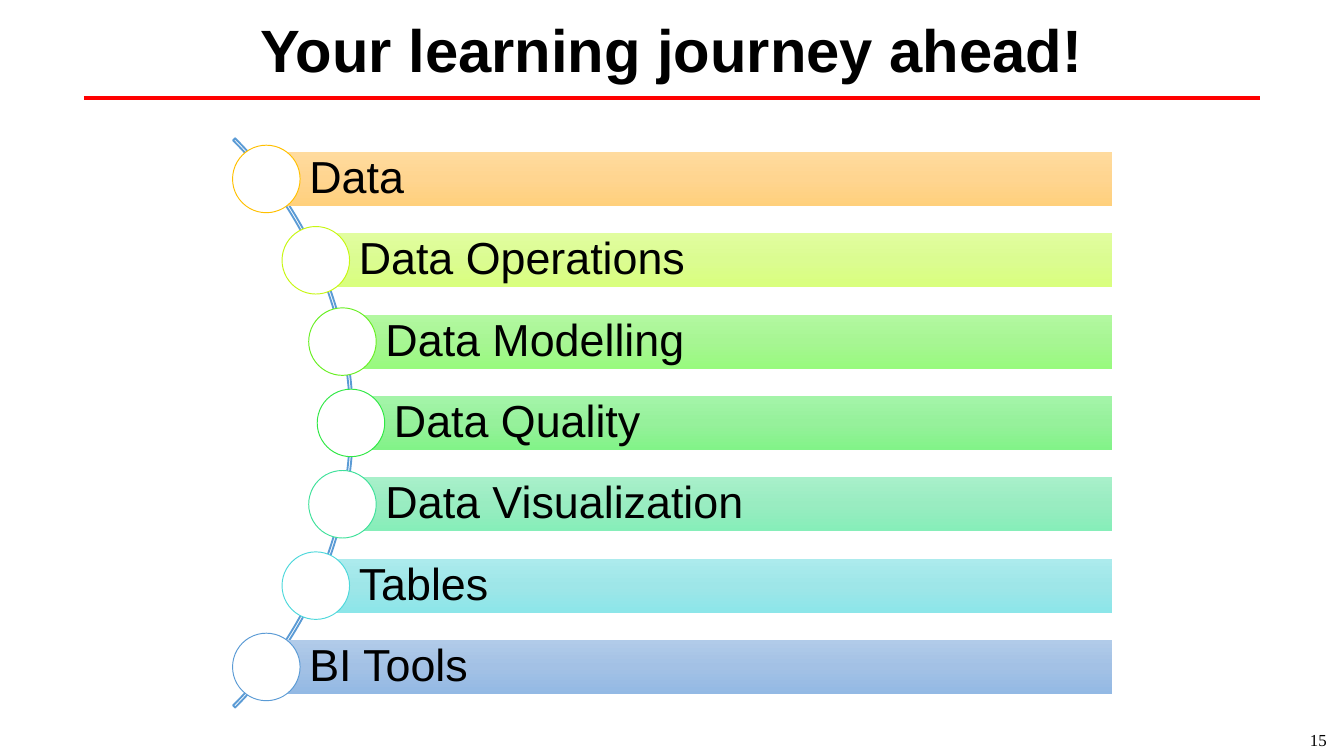
import copy
import math

import pptx
import pptx.dml.color
import pptx.enum.shapes
import pptx.enum.text
import pptx.oxml.ns
import pptx.util

RGBColor = pptx.dml.color.RGBColor
MSO_SHAPE = pptx.enum.shapes.MSO_SHAPE
MSO_CONNECTOR = pptx.enum.shapes.MSO_CONNECTOR
MSO_ANCHOR = pptx.enum.text.MSO_ANCHOR
PP_ALIGN = pptx.enum.text.PP_ALIGN
Pt = pptx.util.Pt
qn = pptx.oxml.ns.qn

EMU_PER_PX = 914400 / 134.4
BLACK = RGBColor(0x00, 0x00, 0x00)
WHITE = RGBColor(0xFF, 0xFF, 0xFF)
RED = RGBColor(0xFF, 0x00, 0x00)
BLUE = RGBColor(0x5B, 0x9B, 0xD5)

STEPS = [
    ("Data", "FFC000", ("FFDB9E", "FFD590", "FFD07C")),
    ("Data Operations", "C7F711", ("E1FD9F", "DBFC91", "D9FF7D")),
    ("Data Modelling", "67EF21", ("B3F8A1", "A7F693", "98FA7E")),
    ("Data Quality", "30E845", ("A4F4A9", "96F19B", "82F388")),
    ("Data Visualization", "3FE19B", ("A8F0CA", "99ECC1", "86EEB9")),
    ("Tables", "4DD8DB", ("ACEBED", "9EE6E8", "8CE6E9")),
    ("BI Tools", "5B9BD5", ("B1CBE9", "A3C1E5", "93B9E4")),
]


def px(length):
    """Turn a length in px into EMU."""
    return pptx.util.Emu(round(length * EMU_PER_PX))


def write(shape, text, size, font="Arial", bold=False, align=PP_ALIGN.LEFT,
          insets=(13, 7, 13, 7), spacing=1.0):
    """Write one vertically centred line into a shape."""
    frame = shape.text_frame
    frame.word_wrap = True
    frame.vertical_anchor = MSO_ANCHOR.MIDDLE
    (frame.margin_left, frame.margin_top,
     frame.margin_right, frame.margin_bottom) = map(px, insets)
    para = frame.paragraphs[0]
    para.alignment = align
    para.line_spacing = spacing
    span = para.add_run()
    span.text = text
    span.font.name = font
    span.font.size = Pt(size)
    span.font.bold = bold
    span.font.color.rgb = BLACK


def add_plain_shape(page, kind, left, top, width, height):
    """Add a preset shape without a shadow."""
    shape = page.shapes.add_shape(kind, px(left), px(top), px(width), px(height))
    shape.shadow.inherit = False
    return shape


def fill_gradient(shape, colours):
    """Fill a shape from top to bottom with three evenly spaced colours."""
    shape.fill.gradient()
    shape.fill.gradient_angle = 270
    stop_list = shape._element.spPr.find(qn("a:gradFill")).find(qn("a:gsLst"))
    stop_list.append(copy.deepcopy(stop_list[0]))
    for index, (stop, colour) in enumerate(zip(shape.fill.gradient_stops, colours)):
        stop.color.rgb = RGBColor.from_string(colour)
        stop.position = index / 2


def add_heading(page, left, top, width, height):
    """Place the title with a red rule along its lower edge."""
    box = page.shapes.add_textbox(px(left), px(top), px(width), px(height))
    write(box, "Your learning journey ahead!", 32, bold=True, align=PP_ALIGN.CENTER)
    bottom = px(top + height)
    rule = page.shapes.add_connector(
        MSO_CONNECTOR.STRAIGHT, px(left), bottom, px(left + width), bottom)
    rule.line.color.rgb = RED
    rule.line.width = Pt(2)
    rule._element.spPr.add_effectLst() if hasattr(
        rule._element.spPr, "add_effectLst") else rule._element.spPr.append(
        pptx.oxml.parse_xml("<a:effectLst %s/>" % pptx.oxml.ns.nsdecls("a")))


def add_step(page, left, top, width, height, step):
    """Place one bar whose left edge runs through the centre of a circle."""
    label, outline, colours = step
    bar = add_plain_shape(page, MSO_SHAPE.RECTANGLE, left, top, width, height)
    fill_gradient(bar, colours)
    bar.line.fill.background()
    write(bar, label, 24, insets=(43, 9, 9, 9), spacing=0.9)
    size = height * 5 / 4
    circle = add_plain_shape(page, MSO_SHAPE.OVAL, left - size / 2,
                             top + (height - size) / 2, size, size)
    circle.fill.solid()
    circle.fill.fore_color.rgb = WHITE
    circle.line.color.rgb = RGBColor.from_string(outline)
    circle.line.width = Pt(0.5)


def add_journey(page, left, top, width, height):
    """Place the steps along an arc that bulges to the right."""
    middle = top + height / 2
    arc_size = 805
    arc = add_plain_shape(page, MSO_SHAPE.BLOCK_ARC, left - 684,
                          middle - arc_size / 2, arc_size, arc_size)
    for index, value in enumerate((189, 27, 0.0036)):
        arc.adjustments[index] = value
    arc.fill.background()
    arc.line.color.rgb = BLUE
    arc.line.width = Pt(1)

    bar_height = 54
    radius = 394
    pitch = (height - bar_height) / (len(STEPS) - 1)
    for index, step in enumerate(STEPS):
        rise = (index - (len(STEPS) - 1) / 2) * pitch
        start = left - 275 + math.sqrt(radius ** 2 - rise ** 2)
        add_step(page, start, middle + rise - bar_height / 2,
                 left + width - start, bar_height, step)


def add_page_number(page, left, top, width, height):
    """Place the page number."""
    box = page.shapes.add_textbox(px(left), px(top), px(width), px(height))
    write(box, "15", 9, font="Times New Roman", insets=(13, 13, 13, 13))


def main():
    """Build the slide and save it."""
    deck = pptx.Presentation()
    deck.slide_width, deck.slide_height = px(1344), px(756)
    page = deck.slides.add_slide(deck.slide_layouts[6])
    add_page_number(page, 1297, 722, 47, 35)
    add_heading(page, 84, 0, 1176, 98)
    add_journey(page, 232, 152, 880, 542)
    deck.save("out.pptx")


if __name__ == "__main__":
    main()
